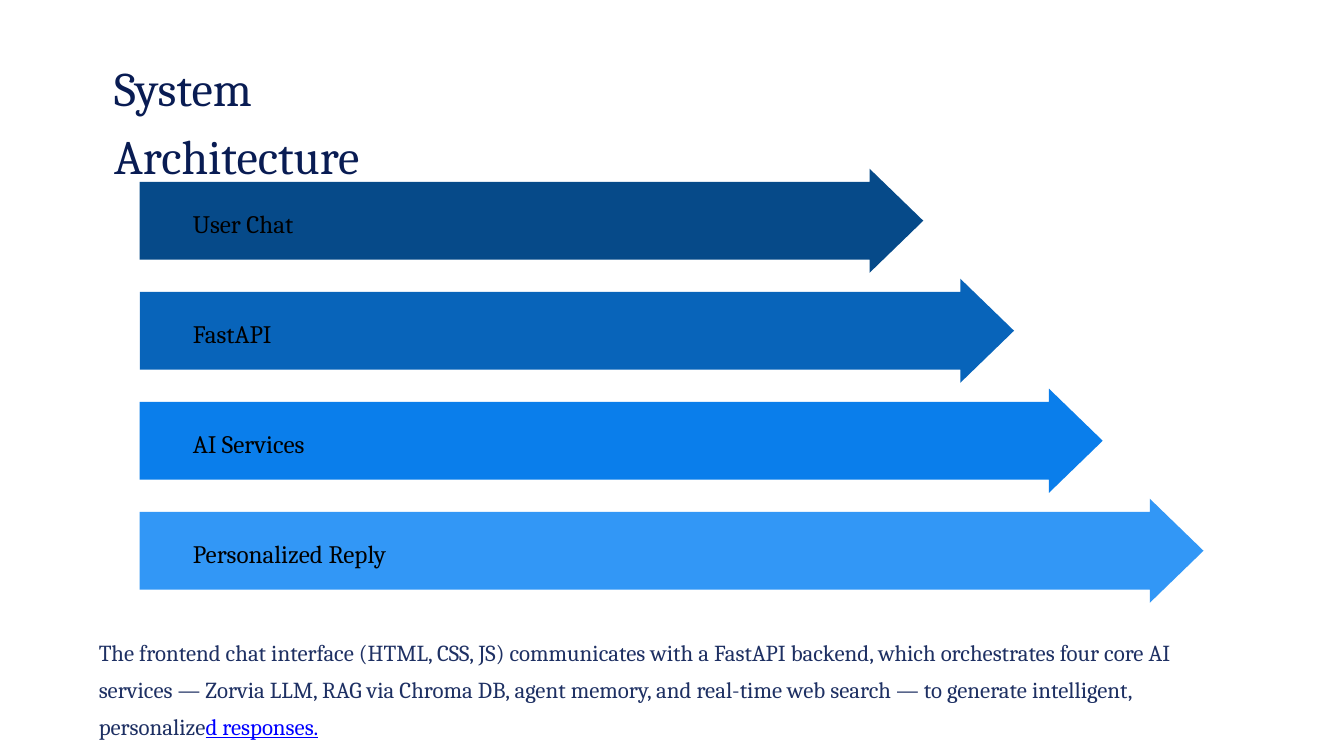
from pptx import Presentation
from pptx.dml.color import RGBColor
from pptx.enum.shapes import MSO_SHAPE
from pptx.util import Inches, Pt

FONT = "Cambria"
WHITE = RGBColor(0xFF, 0xFF, 0xFF)
BLACK = RGBColor(0x00, 0x00, 0x00)
NAVY = RGBColor(0x09, 0x1C, 0x53)
BODY_NAVY = RGBColor(0x1E, 0x30, 0x63)
LINK_BLUE = RGBColor(0x00, 0x00, 0xFF)

# Label, arrow length in inches, fill
LAYERS = [
    ("User Chat", 11.66, RGBColor(0x06, 0x4A, 0x89)),
    ("FastAPI", 13.01, RGBColor(0x08, 0x64, 0xBA)),
    ("AI Services", 14.33, RGBColor(0x0A, 0x7E, 0xEB)),
    ("Personalized Reply", 15.83, RGBColor(0x32, 0x97, 0xF6)),
]
ARROW_HEIGHT = 1.55
ARROW_PITCH = 1.637
SHAFT_HEIGHT = 1.16
HEAD_LENGTH = 0.8

SUMMARY = (
    "The frontend chat interface (HTML, CSS, JS) communicates with a FastAPI "
    "backend, which orchestrates four core AI services — Zorvia LLM, RAG via "
    "Chroma DB, agent memory, and real-time web search — to generate "
    "intelligent, personalize"
)
SUMMARY_LINK = "d responses."


def add_text(slide, box, text, size, color, line_spacing):
    """Add a margin-free text box and return its paragraph."""
    tf = slide.shapes.add_textbox(*(Inches(v) for v in box)).text_frame
    tf.word_wrap = True
    tf.margin_left = tf.margin_right = tf.margin_top = tf.margin_bottom = 0
    p = tf.paragraphs[0]
    p.add_run().text = text
    p.line_spacing = Pt(line_spacing)
    p.font.name = FONT
    p.font.size = Pt(size)
    p.font.color.rgb = color
    return p


def add_layer_arrow(slide, left, top, length, label, color):
    sp = slide.shapes.add_shape(
        MSO_SHAPE.RIGHT_ARROW,
        Inches(left), Inches(top), Inches(length), Inches(ARROW_HEIGHT),
    )
    sp.adjustments[0] = SHAFT_HEIGHT / ARROW_HEIGHT
    sp.adjustments[1] = HEAD_LENGTH / ARROW_HEIGHT
    sp.shadow.inherit = False
    sp.fill.solid()
    sp.fill.fore_color.rgb = color
    sp.line.fill.background()
    add_text(slide, (left + 0.79, top + 0.52, 3.38, 0.5), label, 26.9, BLACK, 37.6)


def add_layers(slide, left, top):
    for i, (label, length, color) in enumerate(LAYERS):
        add_layer_arrow(slide, left, top + i * ARROW_PITCH, length, label, color)


def add_summary(slide, box):
    p = add_text(slide, box, SUMMARY, 24.5, BODY_NAVY, 39.4)
    r = p.add_run()
    r.text = SUMMARY_LINK
    r.font.color.rgb = LINK_BLUE
    r.font.underline = True


def main():
    prs = Presentation()
    prs.slide_width = Inches(20)
    prs.slide_height = Inches(11.25)
    slide = prs.slides.add_slide(prs.slide_layouts[6])
    slide.background.fill.solid()
    slide.background.fill.fore_color.rgb = WHITE

    add_layers(slide, 2.08, 2.51)
    add_text(slide, (1.7, 0.73, 4.83, 0.96), "System Architecture", 51.5, NAVY, 72.2)
    add_summary(slide, (1.47, 9.37, 16.67, 1.05))
    prs.save("out.pptx")


if __name__ == "__main__":
    main()
